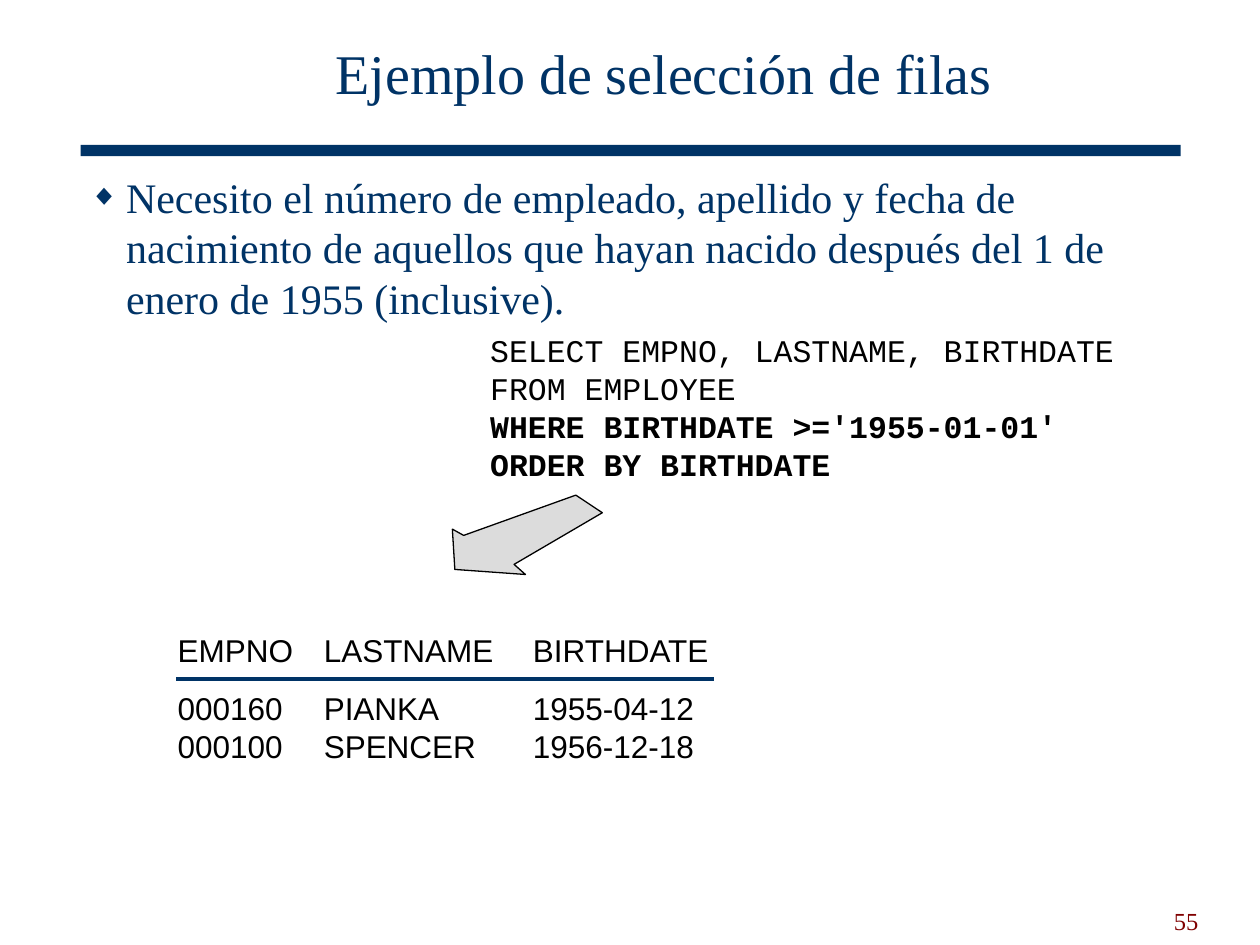
from lxml.etree import SubElement
from pptx import Presentation
from pptx.dml.color import RGBColor
from pptx.enum.shapes import MSO_CONNECTOR, MSO_SHAPE
from pptx.enum.text import MSO_ANCHOR, PP_ALIGN
from pptx.oxml.ns import qn
from pptx.util import Inches, Pt

NAVY = RGBColor(0x00, 0x33, 0x66)
MAROON = RGBColor(0x80, 0x00, 0x00)
BLACK = RGBColor(0x00, 0x00, 0x00)
GREY = RGBColor(0xDC, 0xDC, 0xDC)

TITLE = "Ejemplo de selección de filas"
REQUEST = ("Necesito el número de empleado, apellido y fecha de nacimiento de "
           "aquellos que hayan nacido después del 1 de enero de 1955 (inclusive).")
QUERY = [
    ("SELECT EMPNO, LASTNAME, BIRTHDATE", False),
    ("FROM EMPLOYEE", False),
    ("WHERE BIRTHDATE >='1955-01-01'", True),
    ("ORDER BY BIRTHDATE", True),
]
RESULT = [
    ("EMPNO", "LASTNAME", "BIRTHDATE"),
    ("000160", "PIANKA", "1955-04-12"),
    ("000100", "SPENCER", "1956-12-18"),
]
COLUMN_WIDTHS = (1.16, 1.66, 1.45)
ROW_HEIGHTS = (0.46, 0.3, 0.3)
ARROW = [(4.78, 4.07), (4.57, 3.93), (3.68, 4.25), (3.59, 4.2),
         (3.61, 4.52), (4.17, 4.56), (4.08, 4.48)]
PAGE = "55"

TITLE_FONT = {"name": "Times New Roman", "size": Pt(32), "color": NAVY}
BODY_FONT = {"name": "Times New Roman", "size": Pt(24), "color": NAVY}
PAGE_FONT = {"name": "Times New Roman", "size": Pt(14), "color": MAROON}
CODE_FONT = {"name": "Courier New", "size": Pt(18), "color": BLACK}
TABLE_FONT = {"name": "Arial", "size": Pt(18), "color": BLACK}
NO_MARGINS = dict.fromkeys(
    ("margin_left", "margin_top", "margin_right", "margin_bottom"), 0)


def set_all(obj, values):
    for name, value in values.items():
        setattr(obj, name, value)


def place(sp, left, top, width, height):
    set_all(sp, {"left": Inches(left), "top": Inches(top),
                 "width": Inches(width), "height": Inches(height)})


def write(p, text, font, bold=False):
    r = p.add_run()
    r.text = text
    for name, value in font.items():
        if name == "color":
            r.font.color.rgb = value
        else:
            setattr(r.font, name, value)
    r.font.bold = bold


def add_bullet(p, char, color, percent):
    pPr = p._p.get_or_add_pPr()
    pPr.set("marL", str(Inches(0.29)))
    pPr.set("indent", str(-Inches(0.29)))
    buClr = SubElement(pPr, qn("a:buClr"))
    SubElement(buClr, qn("a:srgbClr")).set("val", str(color))
    SubElement(pPr, qn("a:buSzPct")).set("val", str(percent * 1000))
    SubElement(pPr, qn("a:buChar")).set("char", char)


def add_headings(s):
    bar = s.shapes.add_shape(MSO_SHAPE.RECTANGLE, Inches(0.64), Inches(1.15),
                             Inches(8.73), Inches(0.09))
    bar.shadow.inherit = False
    bar.fill.solid()
    bar.fill.fore_color.rgb = NAVY
    bar.line.fill.background()

    title = s.shapes.title
    place(title, 1.23, 0.14, 8.08, 0.94)
    title.text_frame.vertical_anchor = MSO_ANCHOR.MIDDLE
    p = title.text_frame.paragraphs[0]
    set_all(p, {"alignment": PP_ALIGN.CENTER, "line_spacing": 0.85})
    write(p, TITLE, TITLE_FONT)

    body = s.placeholders[1]
    place(body, 0.61, 1.31, 8.7, 5.36)
    p = body.text_frame.paragraphs[0]
    add_bullet(p, "◆", NAVY, 70)
    p.space_before = Pt(0)
    write(p, REQUEST, BODY_FONT)

    page = s.shapes.add_textbox(Inches(7.21), Inches(6.97), Inches(2.4), Inches(0.5))
    set_all(page.text_frame, {"word_wrap": True, "vertical_anchor": MSO_ANCHOR.BOTTOM})
    p = page.text_frame.paragraphs[0]
    p.alignment = PP_ALIGN.RIGHT
    write(p, PAGE, PAGE_FONT)


def add_query(s):
    box = s.shapes.add_textbox(Inches(3.89), Inches(2.63), Inches(5.2), Inches(1.2))
    tf = box.text_frame
    set_all(tf, {"word_wrap": True, **NO_MARGINS})
    for i, (text, bold) in enumerate(QUERY):
        p = tf.add_paragraph() if i else tf.paragraphs[0]
        write(p, text, CODE_FONT, bold)


def add_arrow(s):
    points = [(Inches(x), Inches(y)) for x, y in ARROW]
    builder = s.shapes.build_freeform(*points[0])
    builder.add_line_segments(points[1:], close=True)
    arrow = builder.convert_to_shape()
    arrow.shadow.inherit = False
    arrow.fill.solid()
    arrow.fill.fore_color.rgb = GREY
    arrow.line.color.rgb = BLACK
    arrow.line.width = Pt(0.75)


def add_result(s):
    frame = s.shapes.add_table(len(RESULT), len(COLUMN_WIDTHS), Inches(1.41), Inches(5.03),
                               Inches(sum(COLUMN_WIDTHS)), Inches(sum(ROW_HEIGHTS)))
    table = frame.table
    set_all(table, {"first_row": False, "horz_banding": False})
    for column, width in zip(table.columns, COLUMN_WIDTHS):
        column.width = Inches(width)
    for row, height, values in zip(table.rows, ROW_HEIGHTS, RESULT):
        row.height = Inches(height)
        for cell, value in zip(row.cells, values):
            cell.fill.background()
            set_all(cell, NO_MARGINS)
            write(cell.text_frame.paragraphs[0], value, TABLE_FONT)

    rule = s.shapes.add_connector(MSO_CONNECTOR.STRAIGHT, Inches(1.4), Inches(5.39),
                                  Inches(5.67), Inches(5.39))
    rule.line.color.rgb = NAVY
    rule.line.width = Pt(2.25)
    SubElement(rule._element.spPr, qn("a:effectLst"))


def main():
    prs = Presentation()
    set_all(prs, {"slide_width": Inches(10), "slide_height": Inches(7.5)})
    s = prs.slides.add_slide(prs.slide_layouts[1])
    add_headings(s)
    add_query(s)
    add_arrow(s)
    add_result(s)
    prs.save("out.pptx")


if __name__ == "__main__":
    main()
